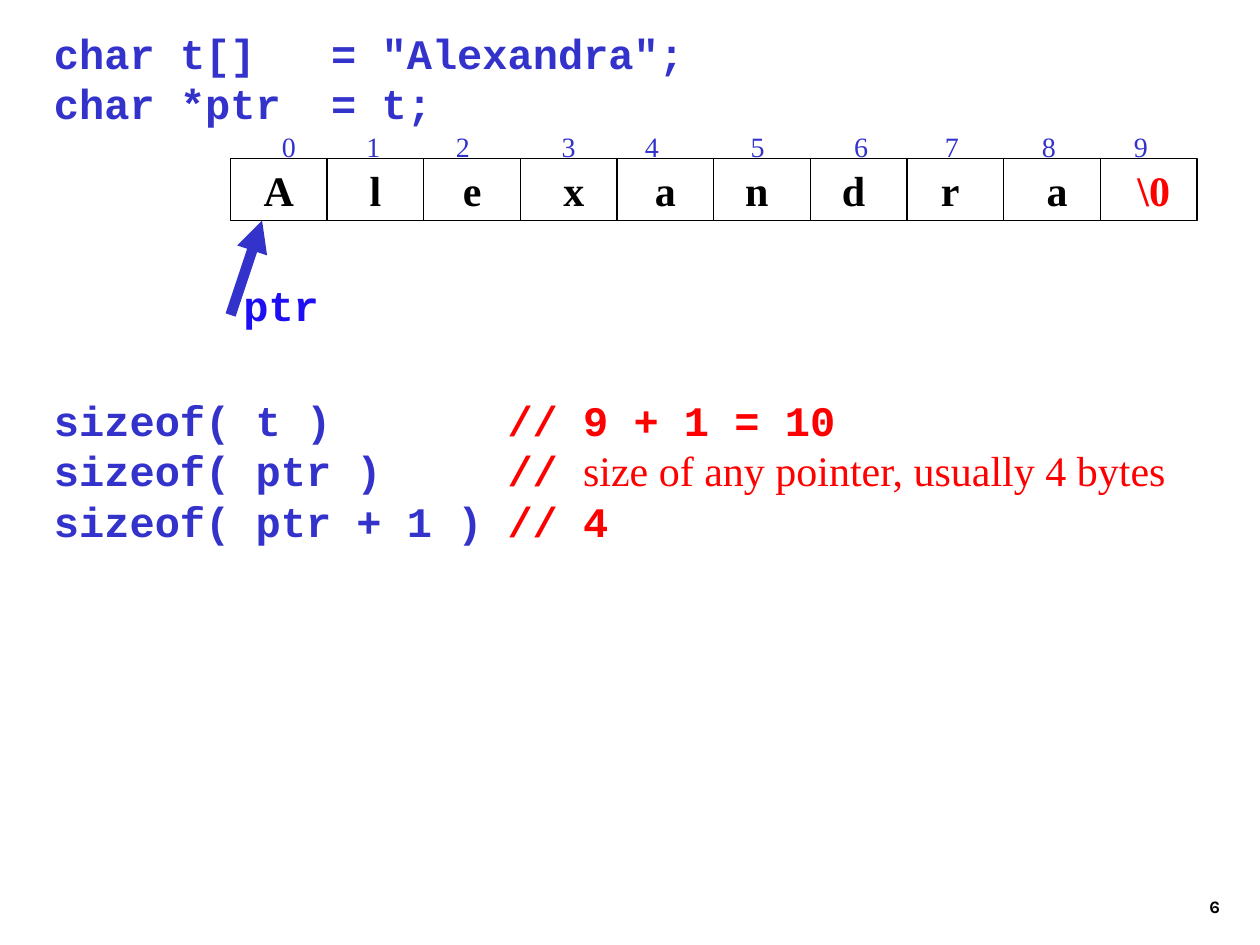
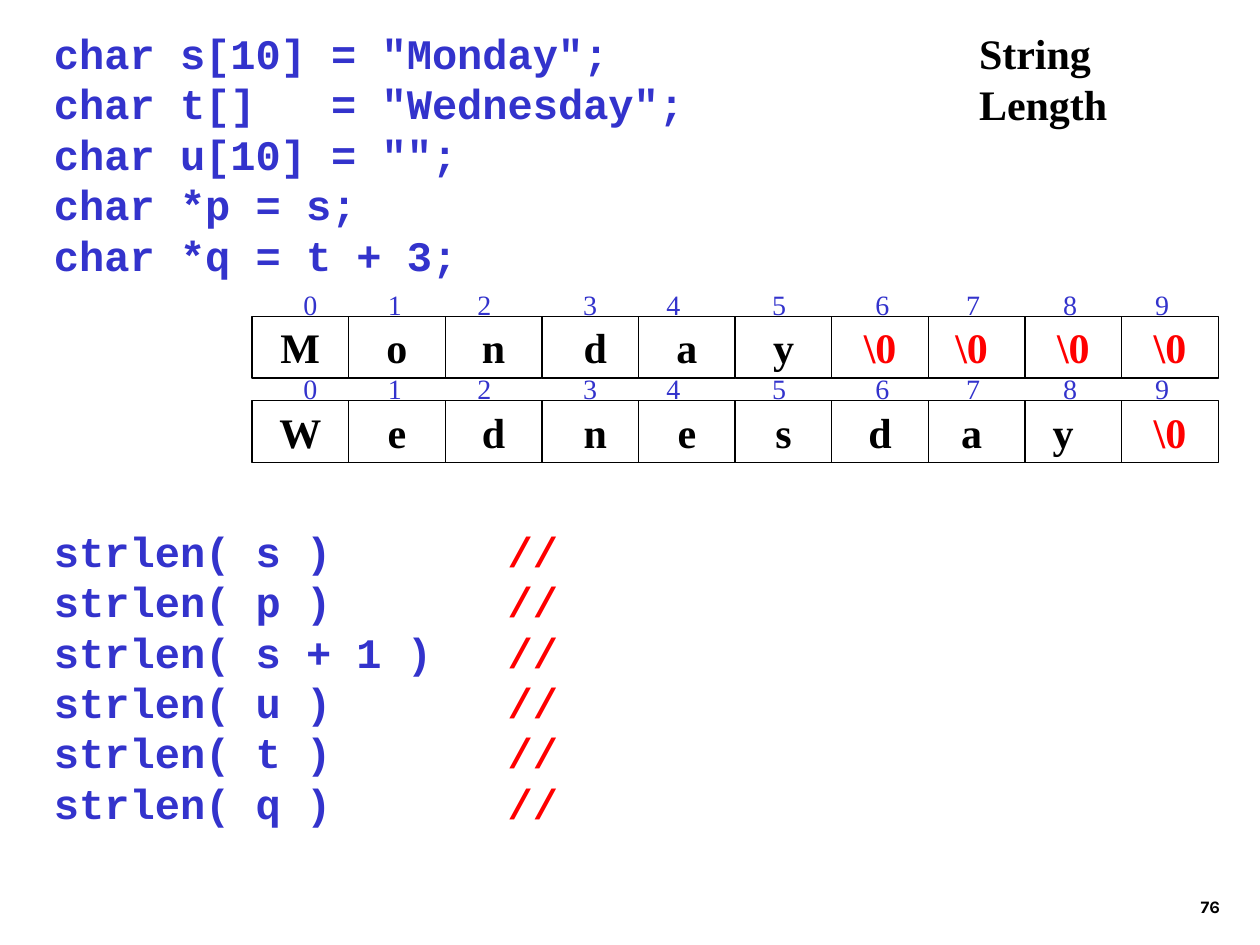
from lxml import etree
from pptx import Presentation
from pptx.dml.color import RGBColor
from pptx.enum import shapes, text
from pptx.oxml import ns
from pptx.util import Inches, Pt

COLOURS = {
    "code": "3333CC",
    "comment": "FF0000",
    "pointer": "1E0EF2",
    "ink": "000000",
}
CODE_FONT, PROSE_FONT, NUMBER_FONT = "Courier New", "Times New Roman", "Karla"
EQUALS_STOP, COMMENT_STOP = 2.2, 3.6
INDEX_STOPS = [0.31, 0.98, 1.69, 2.53, 3.19, 4.03, 4.85, 5.57, 6.34, 7.07]
CELL_WIDTH, CELL_HEIGHT = 7.67 / 10, 0.49
NUL = "\\0"


def add_span(para, words, font, size, colour, bold=True):
    span = para.add_run()
    span.text = words
    span.font.name = font
    span.font.size = Pt(size)
    span.font.bold = bold
    span.font.color.rgb = RGBColor.from_string(COLOURS[colour])


def set_tab_stops(para, stops):
    properties = para._p.get_or_add_pPr()
    tab_list = etree.SubElement(properties, ns.qn("a:tabLst"))
    for stop in stops:
        etree.SubElement(tab_list, ns.qn("a:tab"), pos=str(Inches(stop)), algn="l")


def add_box(parent, left, top, width, height, wrap=True, anchor=text.MSO_ANCHOR.TOP):
    box = parent.add_textbox(Inches(left), Inches(top), Inches(width), Inches(height))
    box.text_frame.word_wrap = wrap
    box.text_frame.vertical_anchor = anchor
    return box


def add_code(page, left, top, width, height, lines):
    """Each line is a list of (words, colour, font) spans."""
    frame = add_box(page.shapes, left, top, width, height).text_frame
    for number, line in enumerate(lines):
        para = frame.add_paragraph() if number else frame.paragraphs[0]
        set_tab_stops(para, [EQUALS_STOP, COMMENT_STOP])
        for words, colour, font in line:
            add_span(para, words, font, 24, colour, bold=font == CODE_FONT)


def add_declarations(page, height, lines):
    add_code(page, 0.33, 0.17, 7.42, height,
             [[(line, "code", CODE_FONT)] for line in lines])


def add_calls(page, top, width, height, calls):
    """Each call is (expression, comment, prose); the comments line up in a column."""
    lines = []
    for expression, comment, prose in calls:
        # Calls ending before the first tab stop need a second tab.
        gap = "\t\t" if len(expression) * 0.2 < EQUALS_STOP else "\t"
        line = [(expression + gap, "code", CODE_FONT),
                (comment, "comment", CODE_FONT)]
        if prose:
            line.append((prose, "comment", PROSE_FONT))
        lines.append(line)
    add_code(page, 0.33, top, width, height, lines)


def add_char_array(page, left, top, characters, nudges):
    """Draw indexed cells; each nudge moves a character by half-space steps."""
    array = page.shapes.add_group_shape().shapes
    index_box = add_box(array, left, top, CELL_WIDTH * 10, CELL_HEIGHT,
                        wrap=False, anchor=text.MSO_ANCHOR.MIDDLE)
    para = index_box.text_frame.paragraphs[0]
    set_tab_stops(para, INDEX_STOPS)
    indexes = "".join(f"\t{index}" for index in range(len(characters)))
    add_span(para, indexes, PROSE_FONT, 16, "code", bold=False)

    for column, (character, nudge) in enumerate(zip(characters, nudges)):
        cell = array.add_shape(
            shapes.MSO_SHAPE.RECTANGLE,
            Inches(left + column * CELL_WIDTH), Inches(top + 0.34),
            Inches(CELL_WIDTH), Inches(CELL_HEIGHT))
        cell.shadow.inherit = False
        cell.fill.background()
        cell.line.color.rgb = RGBColor.from_string(COLOURS["ink"])
        cell.line.width = Pt(0.75)
        frame = cell.text_frame
        frame.word_wrap = False
        frame.vertical_anchor = text.MSO_ANCHOR.MIDDLE
        frame.margin_left = Inches(0.1 + 0.08 * max(nudge, 0))
        frame.margin_right = Inches(0.1 + 0.08 * max(-nudge, 0))
        para = frame.paragraphs[0]
        para.alignment = text.PP_ALIGN.CENTER
        colour = "comment" if character == NUL else "ink"
        add_span(para, character, PROSE_FONT, 24, colour)


def add_pointer(page, left, top, name):
    arrow = page.shapes.add_connector(
        shapes.MSO_CONNECTOR.STRAIGHT,
        Inches(left), Inches(top + 0.75), Inches(left + 0.25), Inches(top))
    arrow.line.color.rgb = RGBColor.from_string(COLOURS["code"])
    arrow.line.width = Pt(6)
    etree.SubElement(arrow.line._get_or_add_ln(), ns.qn("a:tailEnd"), type="triangle")
    etree.SubElement(arrow._element.spPr, ns.qn("a:effectLst"))
    label = add_box(page.shapes, left, top + 0.42, 0.8, 0.5, wrap=False)
    para = label.text_frame.paragraphs[0]
    para.alignment = text.PP_ALIGN.RIGHT
    add_span(para, name, CODE_FONT, 24, "pointer")


def add_page_number(page, number):
    box = add_box(page.shapes, 7.7, 6.83, 2.08, 0.5, anchor=text.MSO_ANCHOR.BOTTOM)
    para = box.text_frame.paragraphs[0]
    para.alignment = text.PP_ALIGN.RIGHT
    add_span(para, str(number), NUMBER_FONT, 10, "ink")


def set_title(page, words):
    title = page.shapes.title
    title.left, title.top = Inches(7.67), Inches(0.17)
    title.width, title.height = Inches(2.19), Inches(0.5)
    frame = title.text_frame
    frame.word_wrap = False
    frame.auto_size = text.MSO_AUTO_SIZE.NONE
    frame.vertical_anchor = text.MSO_ANCHOR.TOP
    para = frame.paragraphs[0]
    para.alignment = text.PP_ALIGN.LEFT
    add_span(para, words, PROSE_FONT, 24, "ink")


def build_sizeof_page(deck):
    page = deck.slides.add_slide(deck.slide_layouts[6])
    add_page_number(page, 6)
    add_calls(page, 3.08, 9.17, 1.3, [
        ("sizeof( t )", "// 9 + 1 = 10", ""),
        ("sizeof( ptr )", "// ", "size of any pointer, usually 4 bytes"),
        ("sizeof( ptr + 1 )", "// 4", ""),
    ])
    add_declarations(page, 0.9, ['char t[]\t= "Alexandra";', "char *ptr\t= t;"])
    add_pointer(page, 1.83, 1.75, "ptr")
    add_char_array(page, 1.83, 0.92, [*"Alexandra", NUL],
                   [0, 0, 0, 1, 0, -1, -1, -1, 1, 1])


def build_strlen_page(deck):
    page = deck.slides.add_slide(deck.slide_layouts[5])
    set_title(page, "String Length")
    add_page_number(page, 76)
    arguments = ["s", "p", "s + 1", "u", "t", "q"]
    add_calls(page, 4.12, 6.42, 2.9,
              [(f"strlen( {argument} )", "//", "") for argument in arguments])
    add_declarations(page, 2.5, [
        'char s[10]\t= "Monday";',
        'char t[]\t= "Wednesday";',
        'char u[10]\t= "";',
        "char *p = s;",
        "char *q = t + 3;",
    ])
    add_char_array(page, 2, 2.17, [*"Monday"] + [NUL] * 4,
                   [0, 0, 0, 1, 0, 0, 0, -1, 0, 0])
    add_char_array(page, 2, 2.84, [*"Wednesday", NUL],
                   [0, 0, 0, 1, 0, 0, 0, -1, -2, 0])


def main():
    deck = Presentation()
    deck.slide_width, deck.slide_height = Inches(10), Inches(7.5)
    build_sizeof_page(deck)
    build_strlen_page(deck)
    deck.save("out.pptx")


if __name__ == "__main__":
    main()
